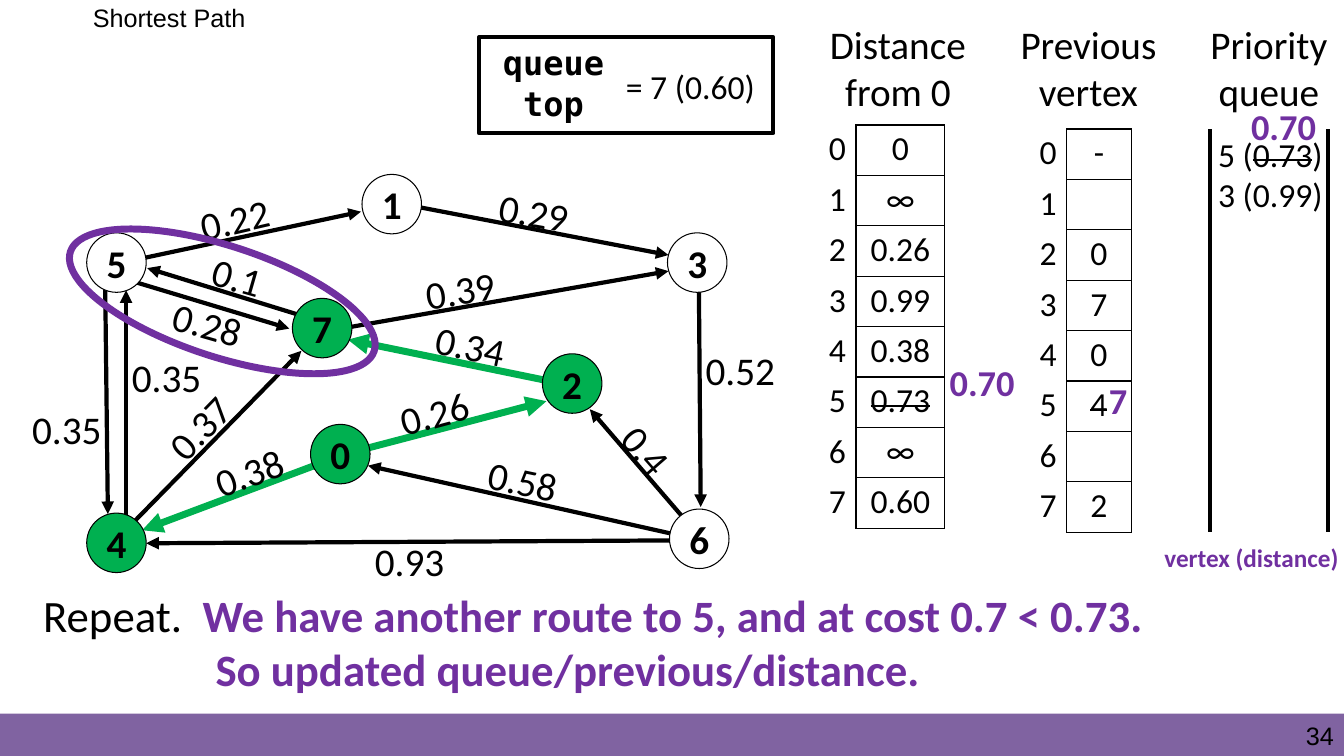
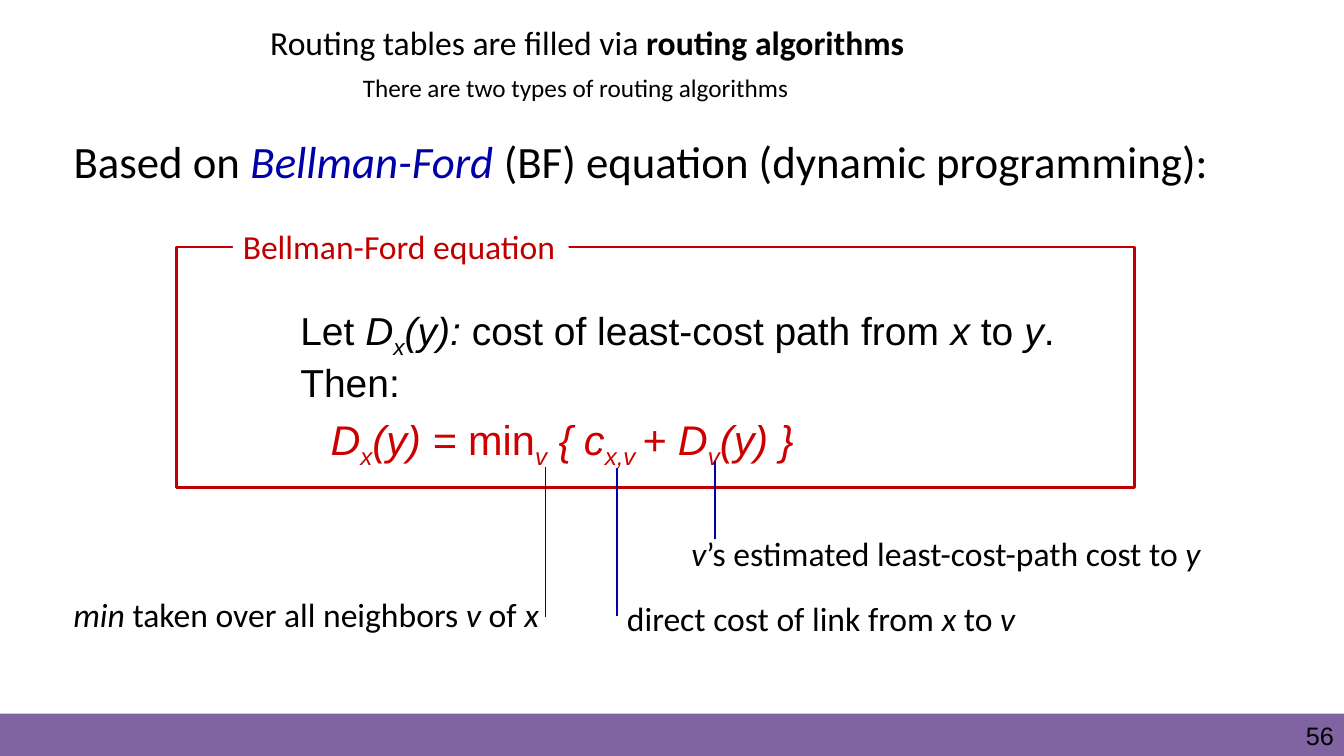
from pptx import Presentation
from pptx.dml.color import RGBColor
from pptx.enum.shapes import MSO_CONNECTOR, MSO_SHAPE
from pptx.enum.text import MSO_ANCHOR, MSO_AUTO_SIZE, PP_ALIGN
from pptx.oxml import parse_xml
from pptx.oxml.ns import nsdecls
from pptx.util import Inches, Pt

LEFT, CENTER, RIGHT = PP_ALIGN.LEFT, PP_ALIGN.CENTER, PP_ALIGN.RIGHT
TOP, MIDDLE = MSO_ANCHOR.TOP, MSO_ANCHOR.MIDDLE
RECT, OVAL = MSO_SHAPE.RECTANGLE, MSO_SHAPE.OVAL
NO_FIT = MSO_AUTO_SIZE.NONE
STRAIGHT = MSO_CONNECTOR.STRAIGHT

BLACK = RGBColor(0x00, 0x00, 0x00)
WHITE = RGBColor(0xFF, 0xFF, 0xFF)
BAND = RGBColor(0x80, 0x63, 0xA1)
PURPLE = RGBColor(0x70, 0x30, 0xA0)
GREEN = RGBColor(0x00, 0xB0, 0x50)
BLUE = RGBColor(0x00, 0x00, 0xA8)
DARK_RED = RGBColor(0xC0, 0x00, 0x00)
RED = RGBColor(0xCC, 0x00, 0x00)

ITALIC = {"italic": True}
SUB = {"italic": True, "sub": True}
STRIKE = {"strike": True}


def write(s, paras, at=None, shape=None, size=24, font="Calibri", color=BLACK, bold=False,
          align=LEFT, anchor=None, inset=None, indents=None, line_spacing=None, before=0):
    """Fill a shape, cell or new text box; a run is a string or (string, format)."""
    shape = shape or s.shapes.add_textbox(0, 0, 0, 0)
    if at:
        shape.left, shape.top, shape.width, shape.height = map(Inches, at)
    tf = shape.text_frame
    tf.word_wrap = True
    if anchor is not None:
        tf.vertical_anchor = anchor
    if inset is not None:
        tf.margin_left = tf.margin_top = tf.margin_right = tf.margin_bottom = Inches(inset)
    for i, runs in enumerate([paras] if isinstance(paras, str) else paras):
        p = tf.add_paragraph() if i else tf.paragraphs[0]
        p.alignment = align
        if indents:
            p._p.get_or_add_pPr().set("marL", str(Inches(indents[i])))
        if line_spacing:
            p.line_spacing = line_spacing
        if i and before:
            p.space_before = Pt(before)
        for run in [runs] if isinstance(runs, str) else runs:
            text, fmt = (run, {}) if isinstance(run, str) else run
            r = p.add_run()
            r.text = text
            r.font.name = font
            r.font.size = Pt(fmt.get("size", size))
            r.font.color.rgb = fmt.get("color", color)
            r.font.bold = fmt.get("bold", bold)
            r.font.italic = fmt.get("italic", False)
            if fmt.get("strike"):
                r._r.get_or_add_rPr().set("strike", "sngStrike")
            if fmt.get("sub"):
                r._r.get_or_add_rPr().set("baseline", "-25000")
    return shape


def draw(s, kind, at, fill=None, line=None, width=1, arrow=False):
    """Add a preset shape at (x, y, w, h), or a line at (x1, y1, x2, y2) for STRAIGHT."""
    if kind is STRAIGHT:
        sp = s.shapes.add_connector(kind, *map(Inches, at))
        sp._element.spPr.append(parse_xml(f"<a:effectLst {nsdecls('a')}/>"))
    else:
        sp = s.shapes.add_shape(kind, *map(Inches, at))
        sp.shadow.inherit = False
        sp.fill.background()
        if fill is not None:
            sp.fill.solid()
            sp.fill.fore_color.rgb = fill
    if line is None:
        sp.line.fill.background()
    else:
        sp.line.color.rgb = line
        sp.line.width = Pt(width)
    if arrow:
        sp.line._get_or_add_ln().append(parse_xml(f'<a:tailEnd {nsdecls("a")} type="triangle"/>'))
    return sp


prs = Presentation()
prs.slide_width, prs.slide_height = Inches(13.33), Inches(7.5)

slides = []
for number, title, at, style in [
    ("34", "Shortest Path", (0.92, 0.02, 11.5, 1.45), {"size": 18, "font": "Arial", "inset": 0}),
    ("56", [["Routing tables are filled via ", ("routing algorithms", {"bold": True})]],
     (2.58, 0.17, 7.31, 0.5), {}),
]:
    s = prs.slides.add_slide(prs.slide_layouts[5])
    draw(s, RECT, (0, 7.08, 13.33, 0.42), fill=BAND)
    write(s, title, at, s.shapes.title, anchor=TOP, **style)
    s.shapes.title.text_frame.auto_size = NO_FIT
    write(s, number, (12.77, 7.15, 0.46, 0.3), size=18, font="Arial", align=RIGHT, inset=0)
    slides.append(s)

# Slide 34: shortest path step
s = slides[0]
for x, heading in [(8.05, "Distance from 0"), (9.94, "Previous vertex"), (11.73, "Priority queue")]:
    write(s, heading, (x, 0.15, 1.71, 1.04), size=28, align=CENTER)

distances = ["0", "∞", "0.26", "0.99", "0.38", "0.73", "∞", "0.60"]
previous = ["-", "", "0", "7", "0", "4", "", "2"]
for x, y, widths, values in [(7.86, 1.24, (0.63, 0.88), distances),
                             (9.94, 1.28, (0.64, 0.64), previous)]:
    table = s.shapes.add_table(8, 2, Inches(x), Inches(y), Inches(sum(widths)), Inches(4)).table
    table.first_row = table.horz_banding = False
    for column, width in zip(table.columns, widths):
        column.width = Inches(width)
    for vertex, value in enumerate(values):
        for col, text in enumerate((str(vertex), value)):
            cell = table.cell(vertex, col)
            cell.margin_top = cell.margin_bottom = Inches(0.04)
            for side in ("LRTB" if col else "R"):
                cell._tc.get_or_add_tcPr().append(parse_xml(
                    f'<a:ln{side} {nsdecls("a")} w="12700"><a:solidFill>'
                    f'<a:srgbClr val="{BLACK}"/></a:solidFill></a:ln{side}>'))
            cell.fill.background()
            if text:
                fmt = STRIKE if col and vertex == 5 else {}
                write(s, [[(text, fmt)]], shape=cell, align=CENTER if col else RIGHT)

write(s, [["5 (", ("0.73", STRIKE), ")"], "3 (0.99)"], (11.85, 1.28, 1.5, 0.91), align=CENTER)
for x in (12, 13.17):
    draw(s, STRAIGHT, (x, 1.28, x, 5.28), line=BLACK, width=3)

note = {"color": PURPLE, "bold": True}
write(s, [["Repeat.  ", ("We have another route to 5, and at cost 0.7 < 0.73.", note)],
          [("So updated queue/previous/distance.", note)]],
      (0.33, 5.78, 12.63, 1.18), size=32, indents=(0, 1.71))

write(s, ["queue", "top"], (4.82, 0.37, 1.34, 0.91), font="DejaVu Sans Mono", bold=True, align=CENTER)
write(s, "= 7 (0.60)", (6.11, 0.6, 1.86, 0.5))
draw(s, RECT, (4.75, 0.37, 2.92, 0.95), line=BLACK, width=3)

edges = [
    (6.97, 5.36, 5.85, 4.06), (6.91, 5.35, 3.65, 4.62), (6.93, 5.36, 1.45, 5.39),
    (1.13, 5.38, 2.99, 3.48), (3.27, 3.28, 6.63, 2.69), (6.93, 2.65, 6.95, 5.03),
    (3.18, 3.19, 1.46, 2.66), (1.08, 2.72, 2.87, 3.26), (1.04, 2.53, 1.07, 5.1),
    (1.25, 5.29, 1.25, 2.88), (1.19, 2.61, 3.58, 2.1), (3.92, 2.01, 6.63, 2.53),
]
tree_edges = [(3.4, 4.51, 5.42, 3.98), (3.41, 4.51, 1.41, 5.26), (5.69, 3.83, 3.45, 3.37)]
for group, color, width in [(edges, BLACK, 3), (tree_edges, GREEN, 5)]:
    for ends in group:
        draw(s, STRAIGHT, ends, line=color, width=width, arrow=True)

nodes = [(3.08, 4.21), (3.59, 1.73), (5.38, 3.51), (6.62, 2.31),
         (0.86, 5.09), (0.86, 2.31), (6.64, 5.05), (2.9, 2.96)]
visited = {0, 2, 4, 7}
for vertex, (x, y) in enumerate(nodes):
    sp = draw(s, OVAL, (x, y, 0.59, 0.59), GREEN if vertex in visited else WHITE, BLACK, 0.75)
    write(s, str(vertex), shape=sp, size=28, bold=True, align=CENTER, anchor=MIDDLE, inset=0)

for cost, x, y, angle in [
    ("0.35", 1.21, 3.46, 0), ("0.35", 0.22, 3.97, 0), ("0.37", 1.5, 3.87, 314),
    ("0.1", 2, 2.52, 16), ("0.28", 1.61, 2.96, 16), ("0.22", 1.88, 1.86, 347),
    ("0.38", 2.02, 4.36, 340), ("0.26", 3.86, 3.78, 345), ("0.39", 4.12, 2.57, 351),
    ("0.29", 4.85, 1.84, 10), ("0.34", 4.22, 3.17, 12), ("0.52", 6.9, 3.39, 0),
    ("0.93", 3.62, 5.28, 0), ("0.58", 4.74, 4.51, 12), ("0.4", 5.99, 4.34, 49),
]:
    write(s, cost, (x, y, 1.12, 0.58), size=28).rotation = angle

draw(s, OVAL, (0.62, 2.44, 3.17, 1.1), line=PURPLE, width=5).rotation = 18.1
for update, x, y in [("0.70", 12.31, 0.98), ("7", 10.9, 3.7), ("0.70", 9.32, 3.52)]:
    write(s, update, (x, y, 1.04, 0.54), size=26, color=PURPLE, bold=True)
write(s, "vertex (distance)", (11.45, 5.33, 2.04, 0.4), size=18, color=PURPLE, bold=True)

# Slide 56: Bellman-Ford equation
s = slides[1]
write(s, "There are two types of routing algorithms", (3.5, 0.67, 4.79, 0.4), size=18)
write(s, [["Based on ", ("Bellman-Ford", {"italic": True, "color": BLUE}),
           " (BF) equation (dynamic programming):"]],
      (0.73, 1.33, 11.83, 0.57), size=32, inset=0)

formula = [("D", ITALIC), ("x", SUB), ("(y) = ", ITALIC), ("min", {}), ("v", SUB), (" { c", ITALIC),
           ("x,v ", SUB), ("+ D", ITALIC), ("v", SUB), ("(y) }", ITALIC)]
write(s, [["Let ", ("D", ITALIC), ("x", SUB), ("(y): ", ITALIC), "cost of least-cost path from ",
           ("x", ITALIC), " to ", ("y", ITALIC), "."],
          "Then:",
          [(text, {**fmt, "size": 29.6, "color": RED}) for text, fmt in formula]],
      (2.73, 3.04, 8.7, 2.16), size=27.8, font="Arial",
      indents=(0.15, 0.15, 0.45), line_spacing=0.8, before=10)

draw(s, RECT, (1.75, 2.45, 9.5, 2.39), line=DARK_RED, width=2)
label = draw(s, RECT, (2.31, 2.19, 3.33, 0.5), fill=WHITE)
write(s, "Bellman-Ford equation", shape=label, color=DARK_RED, anchor=TOP)

for runs, at, ends in [
    ([("min", ITALIC), " taken over all neighbors", (" v ", ITALIC), "of ", ("x", ITALIC)],
     (0.63, 5.84, 5, 0.5), (5.41, 4.63, 5.41, 6.12)),
    ([("v", ITALIC), "’s estimated least-cost-path cost to ", ("y", ITALIC)],
     (6.76, 5.24, 5.4, 0.5), (7.09, 5.35, 7.09, 4.57)),
    (["direct cost of link from", (" x ", ITALIC), "to ", ("v", ITALIC)],
     (6.12, 5.88, 4.2, 0.5), (6.12, 6.11, 6.12, 4.64)),
]:
    write(s, [runs], at)
    draw(s, STRAIGHT, ends, line=BLUE)

prs.save("out.pptx")
